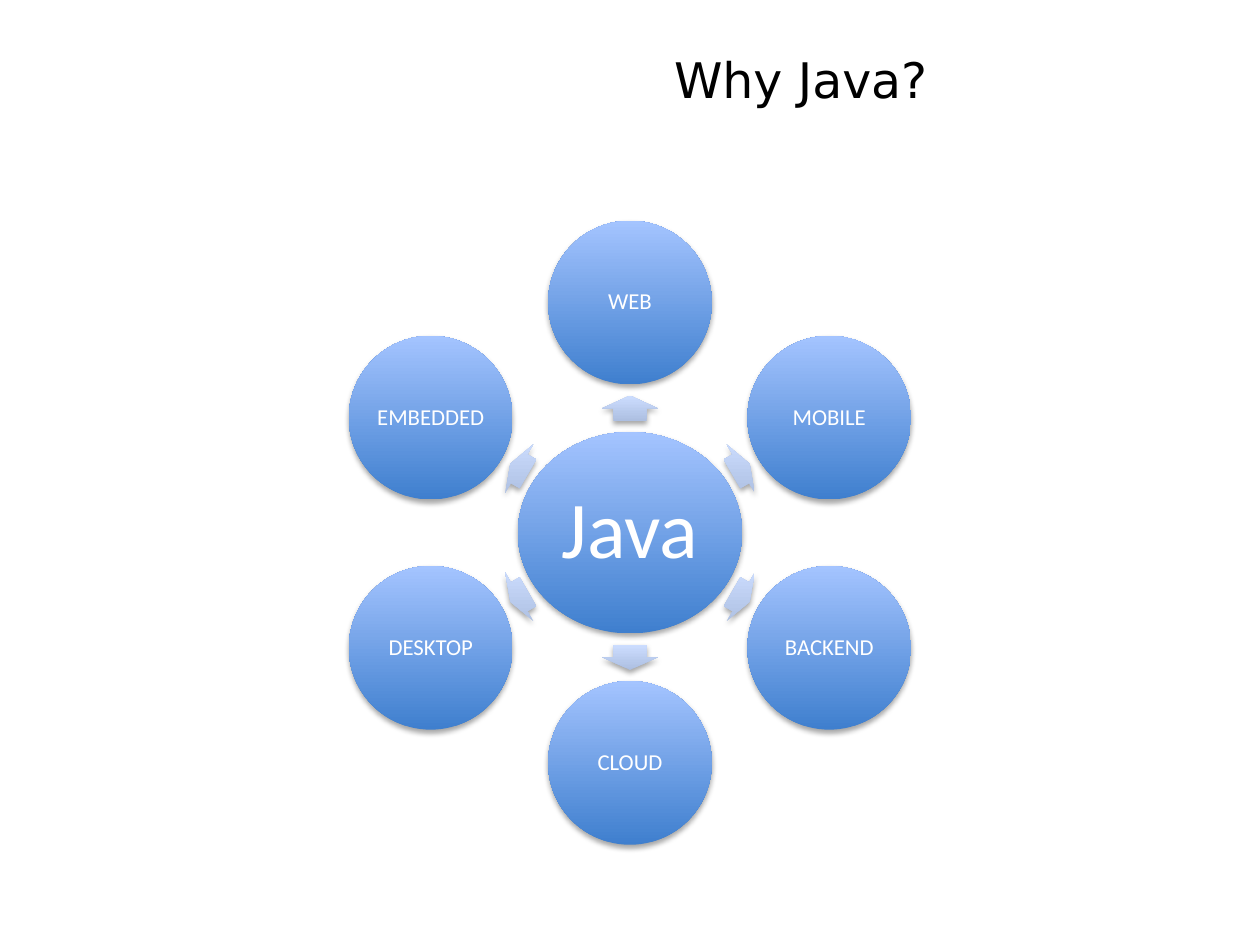
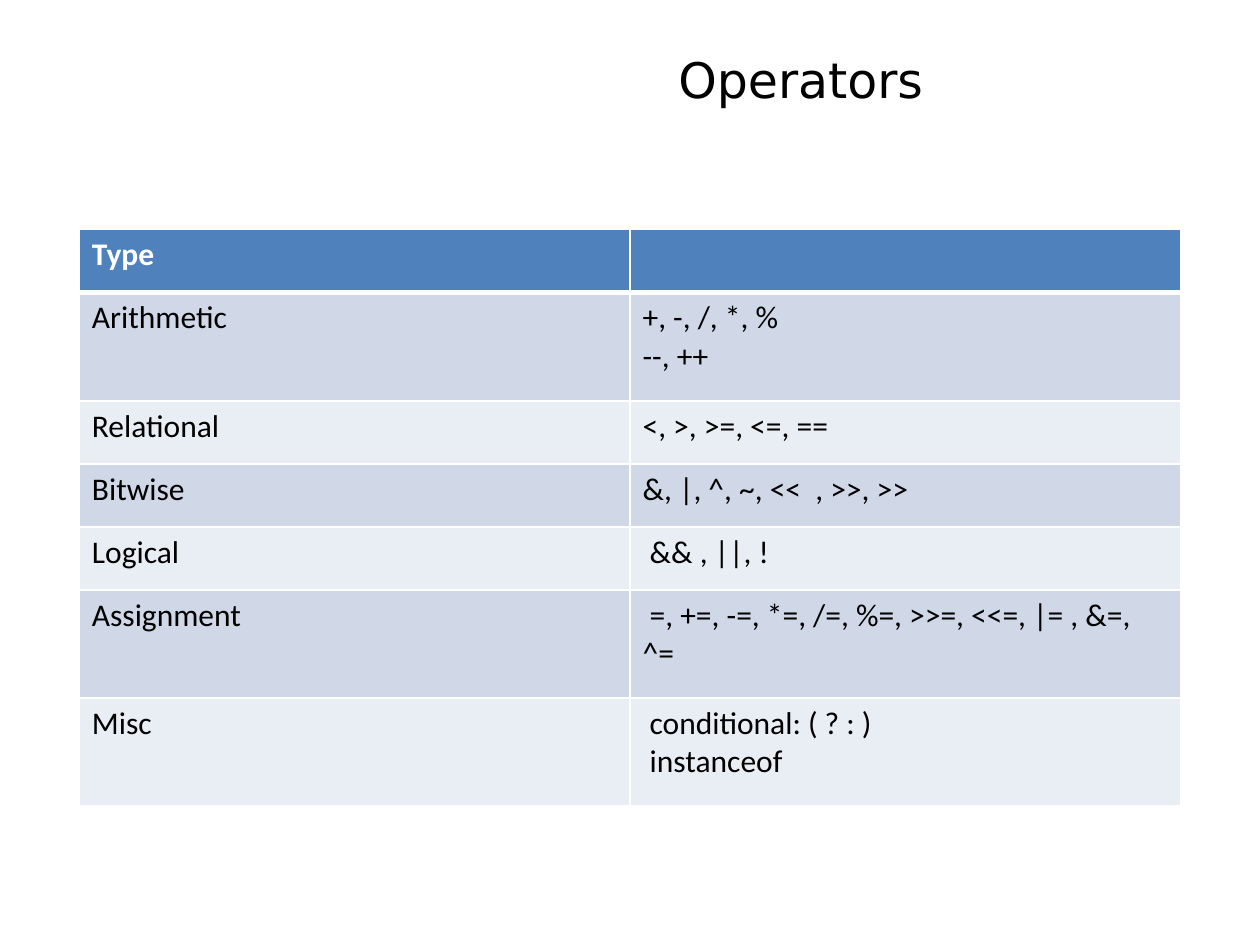
"""Builds two slides: a ring of uses for Java and a table of its operators."""
from dataclasses import dataclass
from math import cos, radians, sin

from lxml import etree
from pptx import Presentation
from pptx import util as u
from pptx.dml import color
from pptx.enum import shapes, text
from pptx.oxml import ns

HUB = "Java"
USES = ["WEB", "MOBILE", "BACKEND", "CLOUD", "DESKTOP", "EMBEDDED"]
HEAD = ("Type", "", 1.27)
ROWS = [
    ("Arithmetic", "+, -, /, *, %\n--, ++", 2.18),
    ("Relational", "<, >, >=, <=, ==", 1.27),
    ("Bitwise", "&, |, ^, ~, <<  , >>, >>", 1.27),
    ("Logical", " && , ||, !", 1.27),
    ("Assignment", " =, +=, -=, *=, /=, %=, >>=, <<=, |= , &=, ^=", 2.18),
    ("Misc", " conditional: ( ? : )\n instanceof", 2.18),
]


@dataclass(frozen=True)
class Theme:
    title: str = "DejaVu Sans"
    body: str = "Calibri"
    ink: str = "000000"
    white: str = "FFFFFF"
    disc: tuple = ("3F7FCE", "A4C4FF")
    arrow: tuple = ("ADBFE1", "CCDDFF")
    head: str = "4F81BD"
    bands: tuple = ("D0D8E8", "E9EDF4")
    big: int = 46
    top: int = 28
    cell: int = 18
    small: int = 13


T = Theme()
MID = (12.7, 10.74)


def rgb(code):
    return color.RGBColor.from_string(code)


def write(frame, words, size, font=T.body, ink=T.white, bold=False,
          align=text.PP_ALIGN.CENTER, space=None):
    frame.word_wrap = True
    for i, line in enumerate(words.split("\n")):
        para = frame.add_paragraph() if i else frame.paragraphs[0]
        para.alignment = align
        para.line_spacing = space
        para.font.size = u.Pt(size)
        if line:
            run = para.add_run()
            run.text = line
            run.font.name, run.font.size, run.font.bold = font, u.Pt(size), bold
            run.font.color.rgb = rgb(ink)


def title(slide, words):
    box = slide.shapes.add_textbox(u.Cm(8.15), u.Cm(0.76), u.Cm(15.98), u.Cm(1.65))
    box.text_frame.vertical_anchor = text.MSO_ANCHOR.MIDDLE
    write(box.text_frame, words, T.top, font=T.title, ink=T.ink)


def shade(shape):
    shape.shadow.inherit = False
    props = shape._element.spPr
    props.find(ns.qn("a:gradFill")).set("rotWithShape", "0")
    cast = etree.SubElement(
        props.find(ns.qn("a:effectLst")), ns.qn("a:outerShdw"),
        blurRad=str(u.Pt(3.1)), dist=str(u.Pt(1.8)), dir="5400000", rotWithShape="0")
    tint = etree.SubElement(cast, ns.qn("a:srgbClr"), val="000000")
    etree.SubElement(tint, ns.qn("a:alpha"), val="35000")


def solid(slide, kind, x, y, wide, high, tones):
    shape = slide.shapes.add_shape(
        kind, u.Cm(x - wide / 2), u.Cm(y - high / 2), u.Cm(wide), u.Cm(high))
    shape.fill.gradient()
    shape.fill.gradient_angle = 90
    for stop, tone, spot in zip(shape.fill.gradient_stops, tones, (0, 1)):
        stop.color.rgb = rgb(tone)
        stop.position = spot
    shape.line.fill.background()
    shade(shape)
    return shape


def disc(slide, x, y, wide, high, words, size, inset):
    shape = solid(slide, shapes.MSO_SHAPE.OVAL, x, y, wide, high, T.disc)
    frame = shape.text_frame
    frame.margin_left = frame.margin_right = u.Cm(inset)
    frame.margin_top = frame.margin_bottom = u.Cm(inset)
    frame.vertical_anchor = text.MSO_ANCHOR.MIDDLE
    write(frame, words, size, space=0.9)


def polar(turn, reach):
    return MID[0] + reach * cos(radians(turn)), MID[1] + reach * sin(radians(turn))


def ring(slide):
    disc(slide, *MID, 4.52, 4.06, HUB, T.big, 0.15)
    step = 360 / len(USES)
    for i, use in enumerate(USES):
        turn = (270 + i * step) % 360
        reach, wide = (2.51, 0.51) if turn in (90, 270) else (2.58, 0.41)
        arrow = solid(slide, shapes.MSO_SHAPE.RIGHT_ARROW, *polar(turn, reach),
                      wide, 1.12, T.arrow)
        arrow.adjustments[0], arrow.adjustments[1] = 0.6, 0.5
        arrow.rotation = turn
        disc(slide, *polar(turn, 4.64), 3.3, 3.3, use, T.small, 0.05)


def edge(cell, row):
    props = cell._tc.get_or_add_tcPr()
    for side in "LRTB":
        thick = (row, side) in ((0, "B"), (1, "T"))
        line = etree.SubElement(props, ns.qn("a:ln" + side), w=str(u.Pt(3 if thick else 1)))
        fill = etree.SubElement(line, ns.qn("a:solidFill"))
        etree.SubElement(fill, ns.qn("a:srgbClr"), val=T.white)


def grid(slide):
    rows = [HEAD] + ROWS
    high = sum(row[-1] for row in rows)
    table = slide.shapes.add_table(
        len(rows), 2, u.Cm(1.6), u.Cm(4.63), u.Cm(22.2), u.Cm(high)).table
    for r, (*words, tall) in enumerate(rows):
        table.rows[r].height = u.Cm(tall)
        for c, word in enumerate(words):
            cell = table.cell(r, c)
            edge(cell, r)
            cell.fill.solid()
            cell.fill.fore_color.rgb = rgb(T.bands[(r - 1) % 2] if r else T.head)
            write(cell.text_frame, word, T.cell, ink=T.ink if r else T.white,
                  bold=not r, align=text.PP_ALIGN.LEFT)


def main():
    deck = Presentation()
    deck.slide_width, deck.slide_height = u.Cm(25.4), u.Cm(19.05)
    for name, draw in (("Why Java?", ring), ("Operators", grid)):
        slide = deck.slides.add_slide(deck.slide_layouts[6])
        title(slide, name)
        draw(slide)
    deck.save("out.pptx")


if __name__ == "__main__":
    main()
